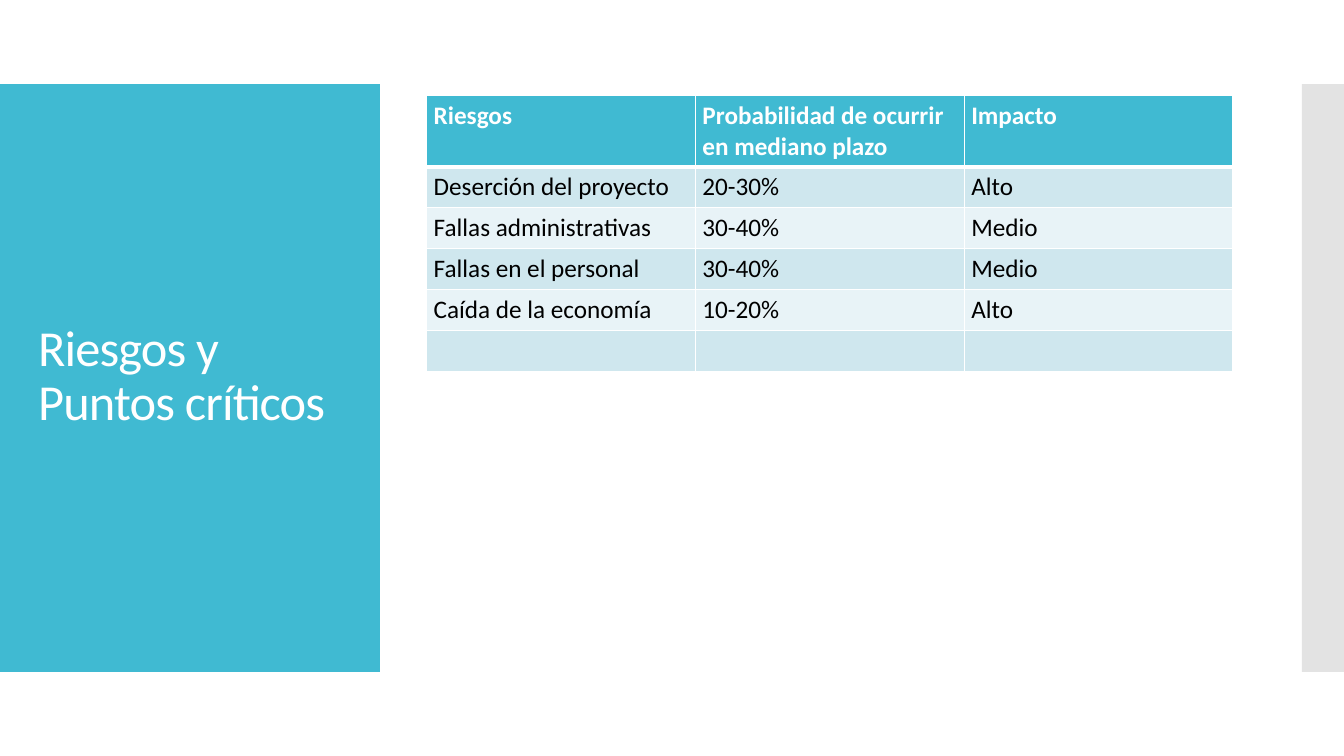
from lxml import etree
from pptx import Presentation
from pptx.dml.color import RGBColor
from pptx.enum import shapes, text
from pptx.oxml.ns import qn
from pptx.util import Pt

# Content
TITLE = "Riesgos y Puntos críticos"
RISKS = [
    ("Riesgos", "Probabilidad de ocurrir en mediano plazo", "Impacto"),
    ("Deserción del proyecto", "20-30%", "Alto"),
    ("Fallas administrativas", "30-40%", "Medio"),
    ("Fallas en el personal", "30-40%", "Medio"),
    ("Caída de la economía", "10-20%", "Alto"),
    ("", "", ""),
]

# Style
FONT = "Calibri"
TEAL = RGBColor(0x40, 0xBA, 0xD2)
GREY = RGBColor(0xC8, 0xC8, 0xC8)
BAND_DARK = RGBColor(0xCF, 0xE7, 0xEE)
BAND_LIGHT = RGBColor(0xE8, 0xF3, 0xF7)
WHITE = RGBColor(0xFF, 0xFF, 0xFF)
BLACK = RGBColor(0, 0, 0)

# Geometry in points
SLIDE_W, SLIDE_H = 960, 540
BAND_TOP, BAND_H = 60, 420
PANEL_W, STRIP_W = 271.4, 30
TABLE_X, TABLE_Y, TABLE_W, TABLE_H = 304.8, 68, 576, 196.6
ROW_H = 29.2


def add_run(p, words, size, color, bold=False):
    r = p.add_run()
    r.text = words
    r.font.name, r.font.size, r.font.bold = FONT, Pt(size), bold
    r.font.color.rgb = color
    return r


def add_block(s, left, width, color):
    sp = s.shapes.add_shape(shapes.MSO_SHAPE.RECTANGLE, Pt(left), Pt(BAND_TOP),
                            Pt(width), Pt(BAND_H))
    sp.shadow.inherit = False
    sp.fill.solid()
    sp.fill.fore_color.rgb = color
    sp.line.fill.background()
    return sp


def add_border(cell, side, width):
    ln = etree.SubElement(cell._tc.get_or_add_tcPr(), qn("a:ln" + side), w=str(Pt(width)))
    fill = etree.SubElement(ln, qn("a:solidFill"))
    etree.SubElement(fill, qn("a:srgbClr"), val=str(WHITE))


def add_risk_table(s):
    frame = s.shapes.add_table(len(RISKS), len(RISKS[0]), Pt(TABLE_X), Pt(TABLE_Y),
                               Pt(TABLE_W), Pt(TABLE_H))
    table = frame.table
    for i, row in enumerate(RISKS):
        table.rows[i].height = Pt(ROW_H)
        header = i == 0
        for j, words in enumerate(row):
            cell = table.cell(i, j)
            # The rule under the header is thicker
            for side in "LRTB":
                thick = (i, side) in ((0, "B"), (1, "T"))
                add_border(cell, side, 3 if thick else 1)
            cell.fill.solid()
            cell.fill.fore_color.rgb = TEAL if header else BAND_DARK if i % 2 else BAND_LIGHT
            cell.margin_left = cell.margin_right = Pt(5)
            cell.margin_top = cell.margin_bottom = Pt(3.6)
            if words:
                add_run(cell.text_frame.paragraphs[0], words, 18,
                        WHITE if header else BLACK, header)
    # Leaves room for the two-line header
    frame.height = Pt(TABLE_H)


def main():
    prs = Presentation()
    prs.slide_width, prs.slide_height = Pt(SLIDE_W), Pt(SLIDE_H)
    s = prs.slides.add_slide(prs.slide_layouts[5])

    # Side blocks, behind the title
    panel = add_block(s, 0, PANEL_W, TEAL)
    strip = add_block(s, SLIDE_W - STRIP_W, STRIP_W, GREY)
    grey = strip._element.spPr.find(".//" + qn("a:srgbClr"))
    etree.SubElement(grey, qn("a:alpha"), val="50000")
    title = s.shapes.title
    for sp in (panel, strip):
        title._element.addprevious(sp._element)

    # Title
    title.left, title.top, title.width, title.height = Pt(20), Pt(88.6), Pt(232), Pt(362)
    tf = title.text_frame
    tf.word_wrap = True
    tf.auto_size = text.MSO_AUTO_SIZE.NONE
    tf.vertical_anchor = text.MSO_ANCHOR.MIDDLE
    p = tf.paragraphs[0]
    p.alignment = text.PP_ALIGN.LEFT
    p.line_spacing = 0.9
    r = add_run(p, TITLE, 36, WHITE)
    r._r.get_or_add_rPr().set("spc", "-60")

    add_risk_table(s)
    prs.save("out.pptx")


if __name__ == "__main__":
    main()
